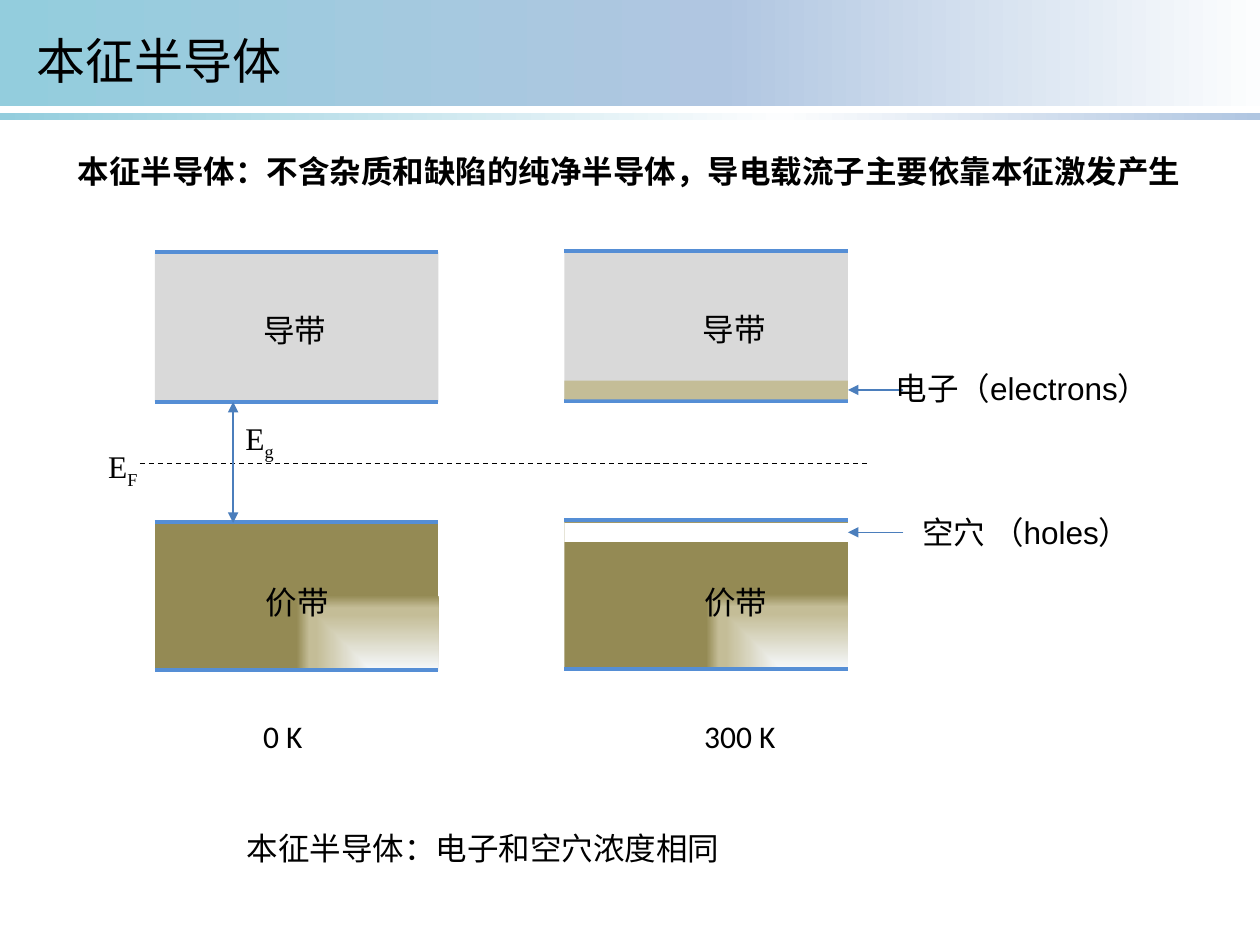
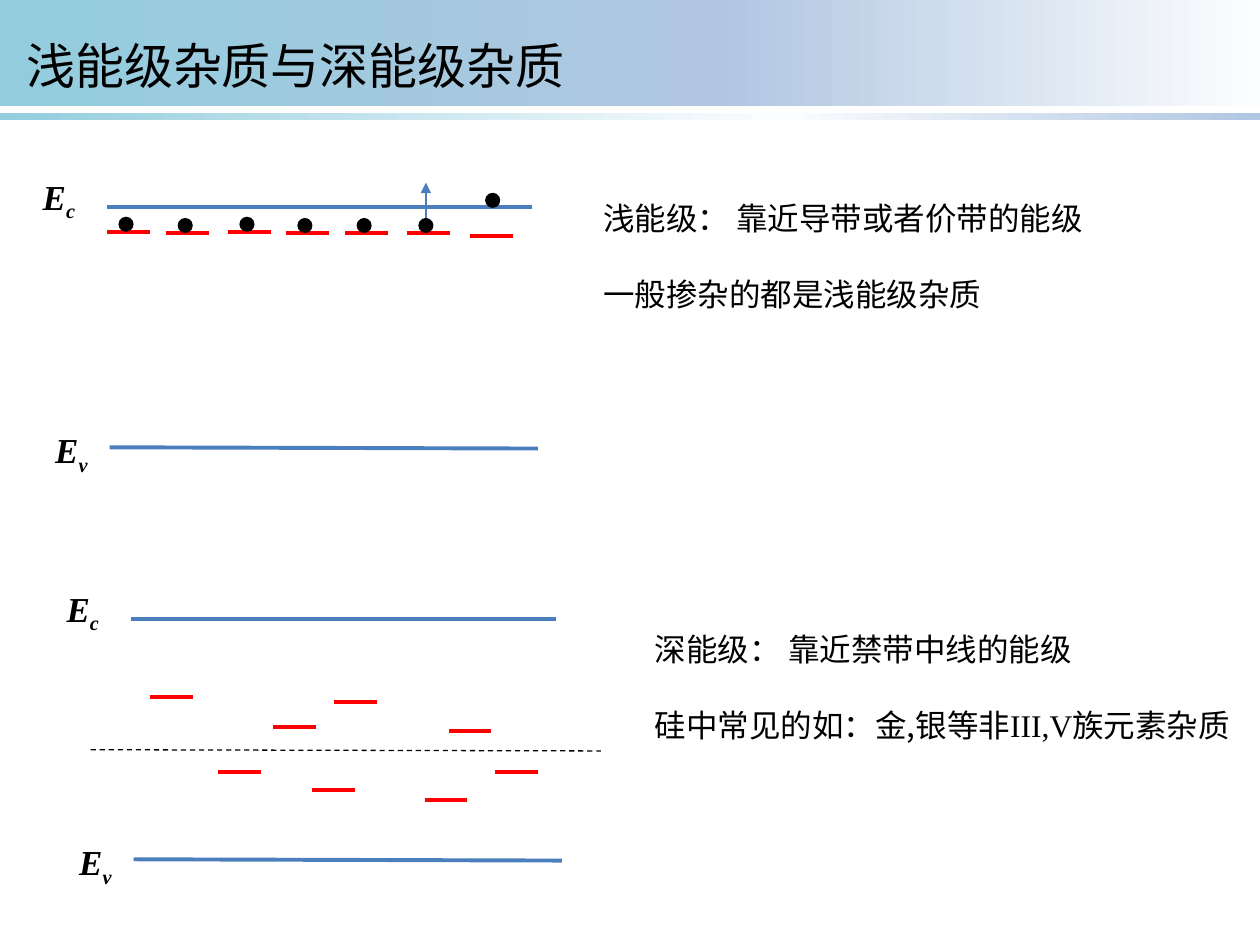
from lxml import etree
from pptx import Presentation
from pptx.dml.color import RGBColor
from pptx.enum.dml import MSO_LINE
from pptx.enum.shapes import MSO_CONNECTOR, MSO_SHAPE
from pptx.oxml import parse_xml
from pptx.oxml.ns import qn
from pptx.util import Inches, Pt

RECTANGLE = MSO_SHAPE.RECTANGLE
OVAL = MSO_SHAPE.OVAL
STRAIGHT = MSO_CONNECTOR.STRAIGHT
DASH = MSO_LINE.DASH
TOP_SITE, RIGHT_SITE = 0, 3

# Shared style
HAN, SERIF, ARIAL, CALIBRI = "Noto Sans CJK SC", "Times New Roman", "Arial", "Calibri"
BLACK, WHITE, RED = "000000", "FFFFFF", "FF0000"
BLUE, EDGE_BLUE, GRAY, TAN = "4B7EBC", "558ED5", "D9D9D9", "C4BD97"
LINEAR = '<a:lin ang="0" scaled="0"/>'
FROM_CORNER = '<a:path path="rect"><a:fillToRect l="100000" t="100000"/></a:path>'
VALENCE_STOPS = [(0, "F6F9FC"), (74, TAN), (83, TAN), (100, "948A54")]
HEADER_BANDS = [  # top, height, gradient stops
    (0.9, 0.05, [(0, "93CDDD"), (62, "FCFDFE"), (100, "B0C6E1")]),
    (0, 0.84, [(0, "93CDDD"), (57, "B0C6E1"), (100, "FCFDFE")]),
]

# Slide 1: intrinsic semiconductor
INTRINSIC_TITLE = ("本征半导体", 0.19, 0.19, 2.17)
BAND_COLUMNS = [(1.23, 2), (4.48, 1.99)]  # left, top
BAND_WIDTH, BAND_HEIGHT, VALENCE_OFFSET = 2.25, 1.19, 2.13
EDGE_OFFSETS = [0, 1.19, 2.14, 3.32]
CARRIER_STRIPS = [(3.02, TAN), (4.15, WHITE)]  # top, colour
FERMI_LEVEL = 3.68
INTRINSIC_LABELS = [  # text, font, left, top, width
    ("导带", HAN, 1.99, 2.42, 0.71),
    ("价带", HAN, 2.01, 4.58, 0.71),
    ("导带", HAN, 5.48, 2.41, 0.71),
    ("价带", HAN, 5.49, 4.58, 0.71),
    ("0 K", CALIBRI, 1.99, 5.64, 0.52),
    ("300 K", CALIBRI, 5.49, 5.64, 0.78),
    ("本征半导体：电子和空穴浓度相同", HAN, 1.86, 6.53, 3.99),
]
CARRIER_LABELS = [
    ("空穴 （holes）", ARIAL, 7.22, 4.02, 1.88),
    ("电子（electrons）", ARIAL, 7.01, 2.88, 2.24),
]
DEFINITION = "本征半导体：不含杂质和缺陷的纯净半导体，导电载流子主要依靠本征激发产生"
LEVEL_SYMBOLS = [("F", 0.76, 3.5), ("g", 1.85, 3.28)]  # subscript, left, top

# Slide 2: shallow and deep impurity levels
IMPURITY_TITLE = ("浅能级杂质与深能级杂质", 0.11, 0.23, 4.52)
ENERGY_DIAGRAMS = [(0.85, 1.64), (1.04, 4.91)]  # left and height of the Ec line
SHALLOW_LEVELS = [(0.85, 1.84), (1.32, 1.85), (1.81, 1.84), (2.27, 1.85),
                  (2.74, 1.85), (3.23, 1.85), (3.73, 1.87)]
DEEP_LEVELS = [(1.19, 5.53), (1.73, 6.13), (2.17, 5.77), (2.65, 5.57),
               (2.48, 6.27), (3.56, 5.8), (3.37, 6.35), (3.93, 6.13)]
LEVEL_WIDTH, ELECTRON_SIZE = 0.34, 0.12
EXPLANATIONS = [  # left, top, width, paragraphs of runs
    (4.69, 1.53, 4.11, [[("浅能级： 靠近导带或者价带的能级", HAN)],
                        [("一般掺杂的都是浅能级杂质", HAN)]]),
    (5.1, 4.95, 4.87, [[("深能级： 靠近禁带中线的能级", HAN)],
                       [("硅中常见的如：金,银等非", HAN), ("III,V", SERIF),
                        ("族元素杂质", HAN)]]),
]


def rgb(color):
    return RGBColor.from_string(color)


def add_block(slide, left, top, width, height, color=None, kind=RECTANGLE):
    shape = slide.shapes.add_shape(
        kind, Inches(left), Inches(top), Inches(width), Inches(height))
    shape.shadow.inherit = False
    shape.line.fill.background()
    if color:
        shape.fill.solid()
        shape.fill.fore_color.rgb = rgb(color)
    return shape


def fill_gradient(shape, stops, direction):
    stop_xml = "".join(
        f'<a:gs pos="{position * 1000}"><a:srgbClr val="{color}"/></a:gs>'
        for position, color in stops)
    gradient = parse_xml(
        '<a:gradFill xmlns:a="http://schemas.openxmlformats.org/drawingml/2006/main" '
        f'rotWithShape="1"><a:gsLst>{stop_xml}</a:gsLst>{direction}</a:gradFill>')
    shape.element.spPr.find(qn("a:prstGeom")).addnext(gradient)


def add_line(slide, start, end, color, width, dashed=False, arrows=()):
    line = slide.shapes.add_connector(STRAIGHT, *map(Inches, (*start, *end)))
    line.line.color.rgb = rgb(color)
    line.line.width = Pt(width)
    if dashed:
        line.line.dash_style = DASH
    outline = line.line._get_or_add_ln()
    for arrow in arrows:
        etree.SubElement(outline, qn(f"a:{arrow}"), type="triangle")
    etree.SubElement(line.element.spPr, qn("a:effectLst"))
    return line


def add_text(slide, left, top, width, height, paragraphs, size=18,
             bold=False, italic=False, wrap=False):
    """Each paragraph is a list of (text, font) or (text, font, baseline) runs."""
    box = slide.shapes.add_textbox(
        Inches(left), Inches(top), Inches(width), Inches(height))
    frame = box.text_frame
    frame.word_wrap = wrap
    for index, runs in enumerate(paragraphs):
        paragraph = frame.paragraphs[0]
        if index:
            paragraph = frame.add_paragraph()
            paragraph.space_before = Pt(21.6)
        for text, font, *baseline in runs:
            run = paragraph.add_run()
            run.text = text
            run.font.name = font
            run.font.size = Pt(size)
            run.font.bold = bold
            run.font.italic = italic
            run.font.color.rgb = rgb(BLACK)
            properties = run.font._element
            etree.SubElement(properties, qn("a:ea"), typeface=HAN)
            if baseline:
                properties.set("baseline", str(baseline[0]))


def add_symbol(slide, subscript, left, top, size=18, emphasis=False):
    runs = [("E", SERIF), (subscript, SERIF, -25000)]
    add_text(slide, left, top, 0.46, size * 0.022, [runs], size, emphasis, emphasis)


def start_slide(presentation, title):
    slide = presentation.slides.add_slide(presentation.slide_layouts[6])
    for top, height, stops in HEADER_BANDS:
        fill_gradient(add_block(slide, 0, top, 10, height), stops, LINEAR)
    text, left, top, width = title
    add_text(slide, left, top, width, 0.57, [[(text, HAN)]], 28)
    return slide


def build_intrinsic_slide(presentation):
    slide = start_slide(presentation, INTRINSIC_TITLE)

    # Conduction and valence bands with their edges
    for left, top in BAND_COLUMNS:
        add_block(slide, left, top, BAND_WIDTH, BAND_HEIGHT, GRAY)
        valence = add_block(slide, left, top + VALENCE_OFFSET, BAND_WIDTH, BAND_HEIGHT)
        fill_gradient(valence, VALENCE_STOPS, FROM_CORNER)
        for offset in EDGE_OFFSETS:
            y = top + offset
            add_line(slide, (left, y), (left + BAND_WIDTH, y), EDGE_BLUE, 2.25)

    # Fermi level and band gap
    add_line(slide, (1.11, FERMI_LEVEL), (6.89, FERMI_LEVEL), BLACK, 0.75, dashed=True)
    add_line(slide, (1.85, 3.19), (1.85, 4.15), BLUE, 1.5, arrows=("headEnd", "tailEnd"))

    # Thermally excited carriers
    strip_left = BAND_COLUMNS[1][0]
    strip_right = strip_left + BAND_WIDTH
    for top, color in CARRIER_STRIPS:
        strip = add_block(slide, strip_left, top, BAND_WIDTH, 0.15, color)
        middle = top + 0.075
        arrow = add_line(slide, (7.17, middle), (strip_right, middle), BLUE, 0.75,
                         arrows=("tailEnd",))
        arrow.end_connect(strip, RIGHT_SITE)

    # Labels
    for subscript, left, top in LEVEL_SYMBOLS:
        add_symbol(slide, subscript, left, top)
    for text, font, left, top, width in INTRINSIC_LABELS:
        add_text(slide, left, top, width, 0.4, [[(text, font)]])
    for text, font, left, top, width in CARRIER_LABELS:
        add_text(slide, left, top, width, 0.4, [[(text, font)]], wrap=True)
    add_text(slide, 0.52, 1.16, 9.22, 0.4, [[(DEFINITION, HAN)]], bold=True)


def build_impurity_slide(presentation):
    slide = start_slide(presentation, IMPURITY_TITLE)

    # Band edges Ec and Ev of both diagrams
    for left, y in ENERGY_DIAGRAMS:
        add_line(slide, (left, y), (left + 3.37, y), BLUE, 2.25)
        add_line(slide, (left + 0.02, y + 1.91), (left + 3.42, y + 1.92), BLUE, 2.25)
        add_symbol(slide, "c", left - 0.61, y - 0.3, 20, emphasis=True)
        add_symbol(slide, "v", left - 0.51, y + 1.71, 20, emphasis=True)

    # Impurity levels and the middle of the gap
    for left, y in SHALLOW_LEVELS + DEEP_LEVELS:
        add_line(slide, (left, y), (left + LEVEL_WIDTH, y), RED, 2.25)
    add_line(slide, (0.72, 5.95), (4.77, 5.96), BLACK, 0.75, dashed=True)

    # Electrons on the shallow levels, the last one already freed
    for left, y in SHALLOW_LEVELS[:-1]:
        electron = add_block(slide, left + 0.09, y - 0.12,
                             ELECTRON_SIZE, ELECTRON_SIZE, BLACK, OVAL)
    add_block(slide, 3.85, 1.53, ELECTRON_SIZE, ELECTRON_SIZE, BLACK, OVAL)
    escape = add_line(slide, (3.38, 1.73), (3.38, 1.45), BLUE, 0.75, arrows=("tailEnd",))
    escape.begin_connect(electron, TOP_SITE)

    # Explanations
    for left, top, width, paragraphs in EXPLANATIONS:
        add_text(slide, left, top, width, 1.01, paragraphs, wrap=True)


def main():
    presentation = Presentation()
    presentation.slide_width = Inches(10)
    presentation.slide_height = Inches(7.5)
    build_intrinsic_slide(presentation)
    build_impurity_slide(presentation)
    presentation.save("out.pptx")


if __name__ == "__main__":
    main()
